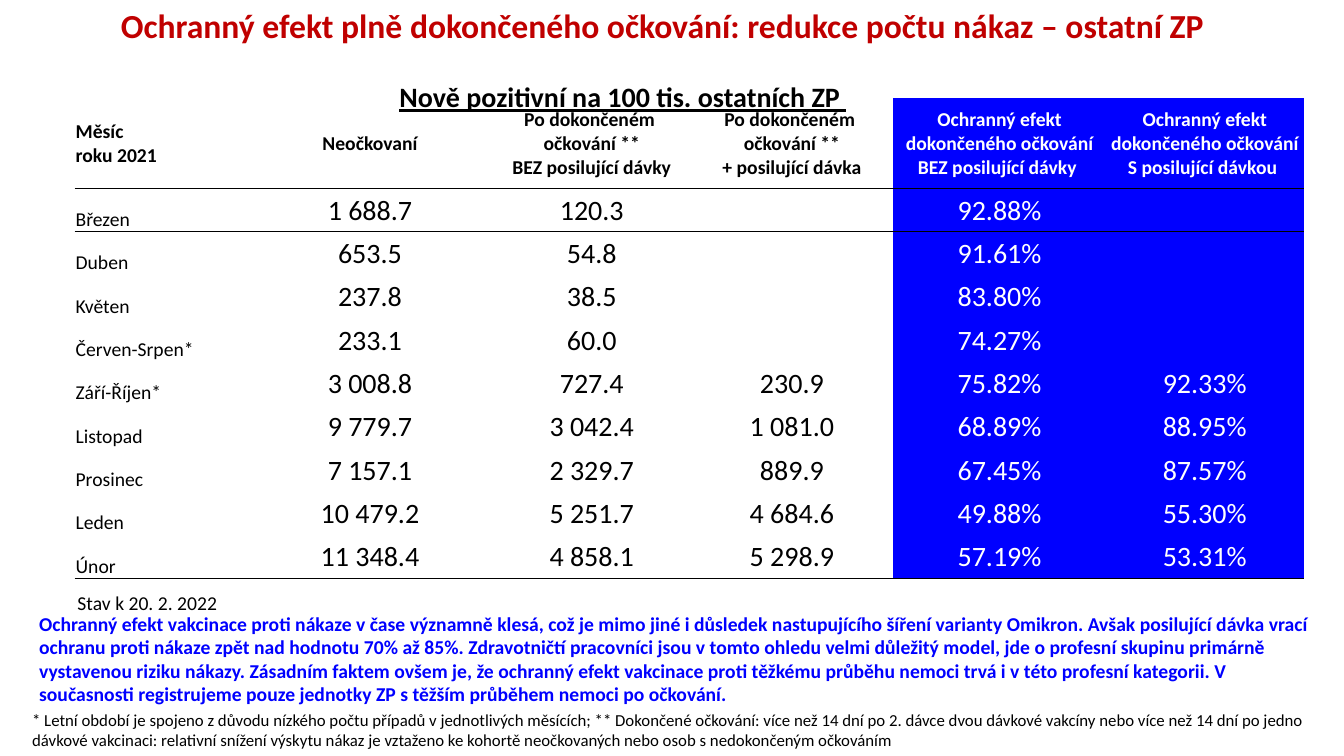
from lxml import etree
from pptx import Presentation
from pptx.dml.color import RGBColor
from pptx.enum import text as t
from pptx.oxml import ns
from pptx.util import Inches, Pt

COLORS = {"black": "000000", "white": "FFFFFF", "red": "C00000", "blue": "0000FF"}
LEFT, CENTER = t.PP_ALIGN.LEFT, t.PP_ALIGN.CENTER


def write(frame, content, size=14, color="black", bold=False, underline=None,
          align=LEFT, spacing=None):
    """Fill a text frame, one paragraph per line of content."""
    frame.word_wrap = True
    for number, line in enumerate(content.split("\n")):
        paragraph = frame.add_paragraph() if number else frame.paragraphs[0]
        paragraph.alignment = align
        paragraph.line_spacing = spacing
        run = paragraph.add_run()
        run.text = line
        run.font.name = "Calibri"
        run.font.size = Pt(size)
        run.font.bold = bold
        run.font.underline = underline
        run.font.color.rgb = RGBColor.from_string(COLORS[color])


def add_border(cell, side):
    """Draw a thin black line on one side of a cell: lnT or lnB."""
    properties = cell._tc.get_or_add_tcPr()
    line = etree.Element(ns.qn(f"a:{side}"), w=str(Pt(1)))
    fill = etree.SubElement(line, ns.qn("a:solidFill"))
    etree.SubElement(fill, ns.qn("a:srgbClr"), val=COLORS["black"])
    properties.insert(0, line)


presentation = Presentation()
presentation.slide_width = Inches(13.33)
presentation.slide_height = Inches(7.5)
slide = presentation.slides.add_slide(presentation.slide_layouts[6])

# Table data
headers = [
    "Měsíc\nroku 2021",
    "Neočkovaní",
    "Po dokončeném \nočkování **\nBEZ posilující dávky",
    "Po dokončeném \nočkování **\n+ posilující dávka",
    "Ochranný efekt dokončeného očkování BEZ posilující dávky ",
    "Ochranný efekt dokončeného očkování S posilující dávkou ",
]
months = [
    ["Březen", "1 688.7", "120.3", "", "92.88%", ""],
    ["Duben", "653.5", "54.8", "", "91.61%", ""],
    ["Květen", "237.8", "38.5", "", "83.80%", ""],
    ["Červen-Srpen*", "233.1", "60.0", "", "74.27%", ""],
    ["Září-Říjen*", "3 008.8", "727.4", "230.9", "75.82%", "92.33%"],
    ["Listopad", "9 779.7", "3 042.4", "1 081.0", "68.89%", "88.95%"],
    ["Prosinec", "7 157.1", "2 329.7", "889.9", "67.45%", "87.57%"],
    ["Leden", "10 479.2", "5 251.7", "4 684.6", "49.88%", "55.30%"],
    ["Únor", "11 348.4", "4 858.1", "5 298.9", "57.19%", "53.31%"],
]
rows = [[""] * 6, headers, *months]
last_row = len(rows) - 1
column_widths = [1.71, 2.44, 1.96, 2.01, 2.11, 1.96]

# Text boxes behind the table
back_boxes = [
    ((0.22, 0.04, 12.7, 1.45),
     "Ochranný efekt plně dokončeného očkování: redukce počtu nákaz – ostatní ZP",
     dict(size=24, color="red", bold=True, align=CENTER, spacing=0.9)),
    ((3.81, 0.74, 4.74, 0.44), "Nově pozitivní na 100 tis. ostatních ZP ",
     dict(size=20, bold=True, underline=True, align=CENTER)),
    ((0.22, 6.99, 12.99, 0.5),
     "* Letní období je spojeno z důvodu nízkého počtu případů v jednotlivých měsících; "
     "** Dokončené očkování: více než 14 dní po 2. dávce dvou dávkové vakcíny nebo více "
     "než 14 dní po jedno dávkové vakcinaci: relativní snížení výskytu nákaz je vztaženo "
     "ke kohortě neočkovaných nebo osob s nedokončeným očkováním",
     dict(size=12)),
]
# Text boxes in front of the table
front_boxes = [
    ((0.67, 5.81, 2.21, 0.34), "Stav k 20. 2. 2022", dict()),
    ((0.29, 6.02, 12.87, 1.04),
     "Ochranný efekt vakcinace proti nákaze v čase významně klesá, což je mimo jiné i "
     "důsledek nastupujícího šíření varianty Omikron. Avšak posilující dávka vrací ochranu "
     "proti nákaze zpět nad hodnotu 70% až 85%. Zdravotničtí pracovníci jsou v tomto ohledu "
     "velmi důležitý model, jde o profesní skupinu primárně vystavenou riziku nákazy. "
     "Zásadním faktem ovšem je, že ochranný efekt vakcinace proti těžkému průběhu nemoci "
     "trvá i v této profesní kategorii. V současnosti registrujeme pouze jednotky ZP s "
     "těžším průběhem nemoci po očkování.",
     dict(color="blue", bold=True)),
]

# Table frame, without the built-in style
table_frame = slide.shapes.add_table(
    len(rows), len(column_widths),
    Inches(0.74), Inches(0.54), Inches(sum(column_widths)), Inches(5.2))
table = table_frame.table
table.first_row = table.horz_banding = False
style = table._tbl.tblPr.find(ns.qn("a:tableStyleId"))
style.text = "{2D5ABB26-0587-4C30-8999-92F81FD0307C}"
for column, width in zip(table.columns, column_widths):
    column.width = Inches(width)
for row_index, row in enumerate(table.rows):
    row.height = Inches(0.9 if row_index == 1 else 0.43)
table.cell(0, 2).merge(table.cell(0, 5))

# Table cells
for row_index, values in enumerate(rows):
    for column_index, value in enumerate(values):
        cell = table.cell(row_index, column_index)
        is_header = row_index == 1
        is_label = column_index == 0
        is_effect = row_index > 0 and column_index >= 4
        if is_effect:
            cell.fill.solid()
            cell.fill.fore_color.rgb = RGBColor.from_string(COLORS["blue"])
        else:
            cell.fill.background()
        if value:
            cell.margin_left = cell.margin_right = cell.margin_top = Inches(0.01)
            cell.margin_bottom = 0
            bottom = is_label and not is_header
            cell.vertical_anchor = t.MSO_ANCHOR.BOTTOM if bottom else t.MSO_ANCHOR.MIDDLE
            write(cell.text_frame, value,
                  size=14 if is_header or is_label else 20,
                  color="white" if is_effect else "black",
                  bold=is_header, align=LEFT if is_label else CENTER)
        if row_index in (1, last_row):
            add_border(cell, "lnB")
        elif row_index == 2:
            add_border(cell, "lnT")

# Text boxes
for position, content, text_format in back_boxes + front_boxes:
    box = slide.shapes.add_textbox(*map(Inches, position))
    write(box.text_frame, content, **text_format)

# Put the table between the two groups of boxes
slide.shapes[len(back_boxes)]._element.addnext(table_frame._element)

presentation.save("out.pptx")
